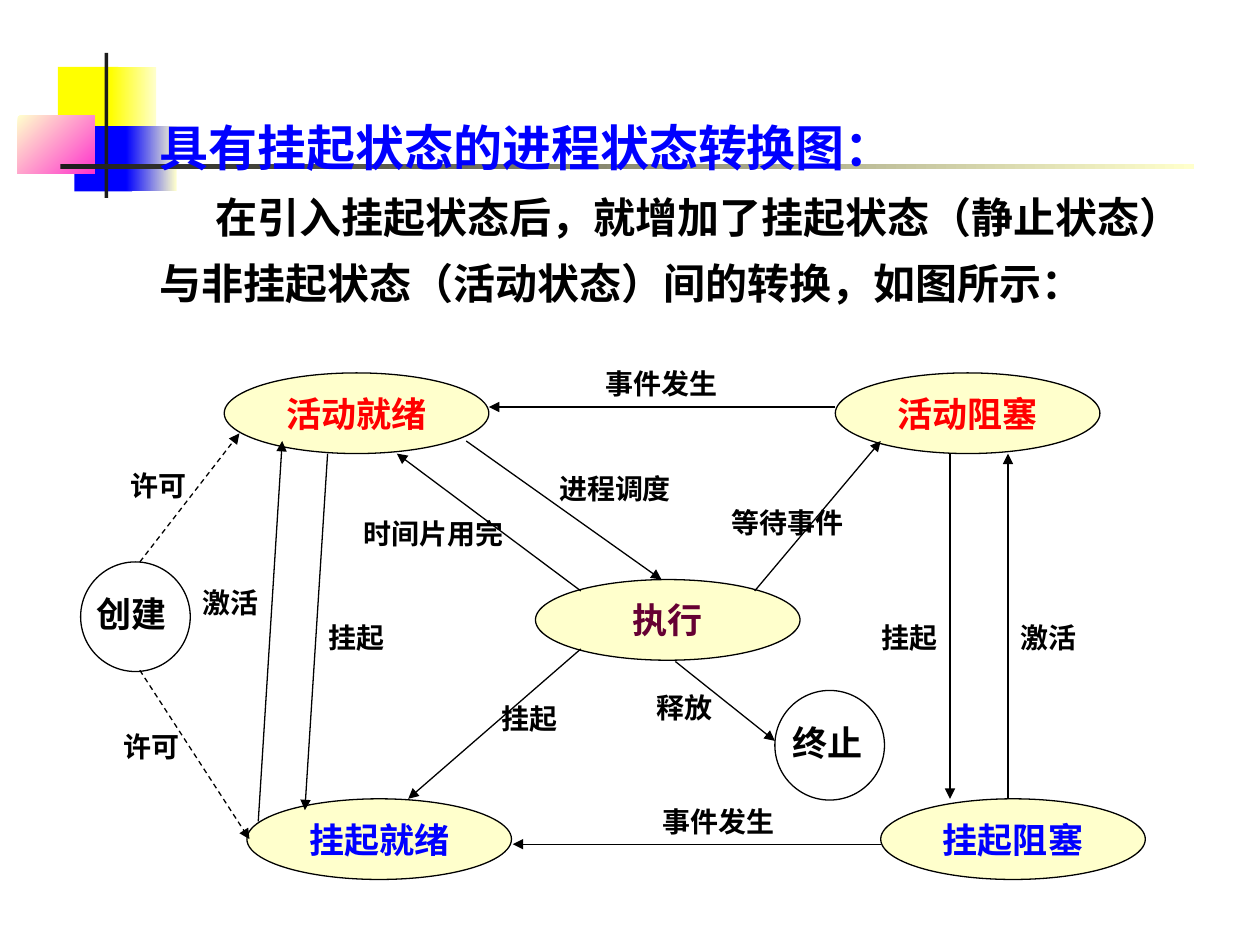
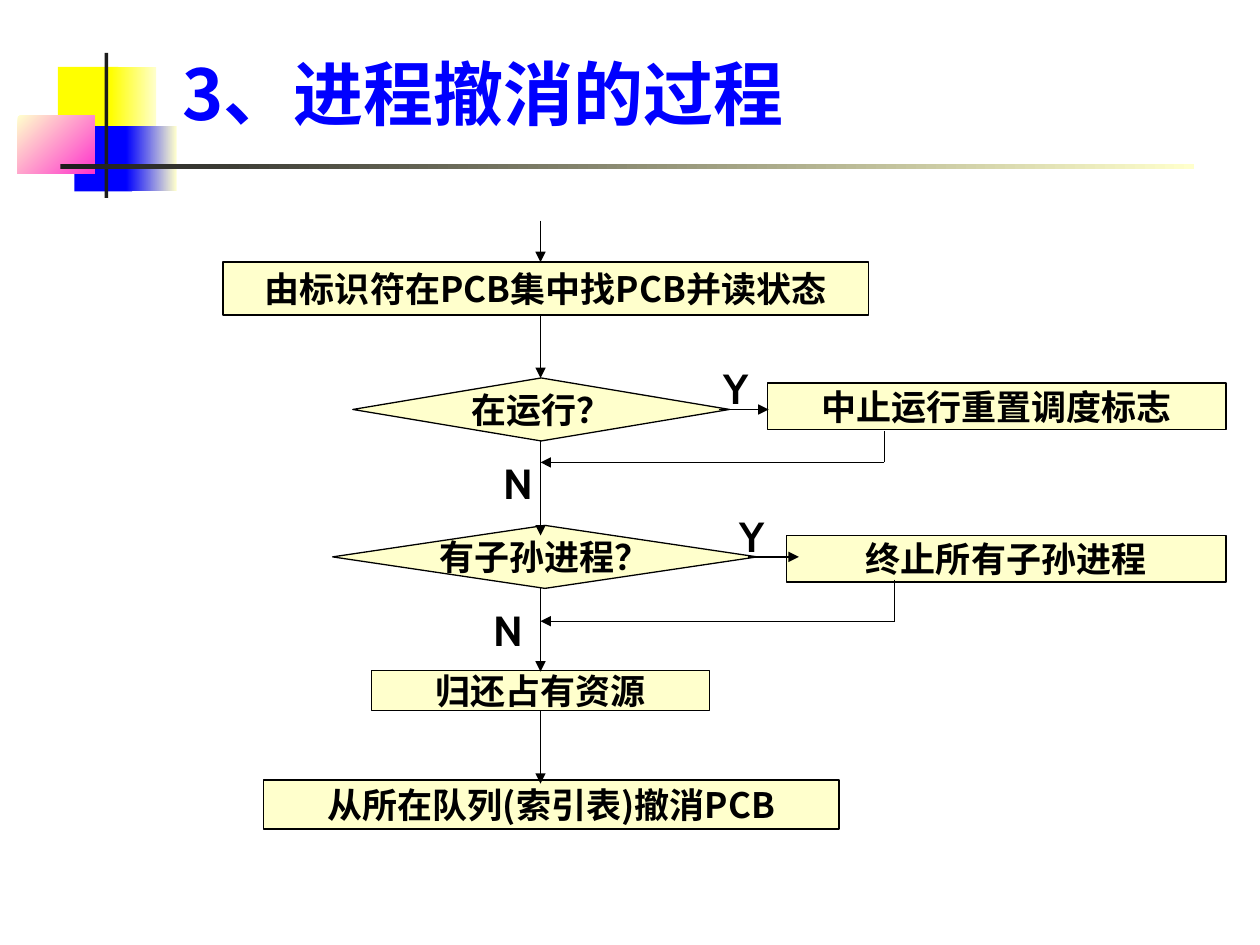
"""Build two slides on process states: suspension transitions and process termination."""
import pptx
import pptx.dml.color
import pptx.enum.dml
import pptx.enum.shapes
import pptx.enum.text
import pptx.oxml
import pptx.oxml.ns
import pptx.util

Inches = pptx.util.Inches
Pt = pptx.util.Pt
SHAPE = pptx.enum.shapes.MSO_SHAPE
ALIGN = pptx.enum.text.PP_ALIGN
ANCHOR = pptx.enum.text.MSO_ANCHOR
CABIN, NOTO = "Cabin", "Noto Sans CJK SC"
BLACK, CREAM, BLUE, RED, YELLOW = "000000", "FFFFCC", "0000FF", "FF0000", "FFFF00"
CHARCOAL, PINK, WINE = "1C1C1C", "FF33CC", "660033"


def colour(hex_code):
    return pptx.dml.color.RGBColor.from_string(hex_code)


def write(frame, text, size=20, font=CABIN, ink=BLACK, align=ALIGN.LEFT,
          anchor=ANCHOR.TOP, wrap=True, right=0.1, indent=0, spacing=1.0, new=False):
    frame.word_wrap = wrap
    frame.vertical_anchor = anchor
    frame.margin_left, frame.margin_right = Inches(0.1), Inches(right)
    frame.margin_top = frame.margin_bottom = Inches(0.05)
    paragraph = frame.add_paragraph() if new else frame.paragraphs[0]
    paragraph.alignment = align
    paragraph.line_spacing = spacing
    if indent:
        paragraph._p.get_or_add_pPr().set("indent", str(Inches(indent)))
    run = paragraph.add_run()
    run.text = text
    run.font.size = Pt(size)
    run.font.bold = True
    run.font.name = font
    run.font.color.rgb = colour(ink)
    east_asian = pptx.oxml.parse_xml(f'<a:ea {pptx.oxml.ns.nsdecls("a")} typeface="{NOTO}"/>')
    run._r.get_or_add_rPr().append(east_asian)


deck = pptx.Presentation()
deck.slide_width, deck.slide_height = Inches(10), Inches(7.5)
state_slide = deck.slides.add_slide(deck.slide_layouts[6])
termination_slide = deck.slides.add_slide(deck.slide_layouts[6])

ornament = [
    (0.46, 0.53, 0.48, 0.52, YELLOW, YELLOW, 0),
    (0.88, 0.53, 0.36, 0.52, YELLOW, CREAM, 0),
    (0.59, 1, 0.46, 0.52, BLUE, BLUE, 0),
    (1, 1, 0.4, 0.52, BLUE, CREAM, 0),
    (0.14, 0.92, 0.61, 0.46, CREAM, PINK, 315),
    (0.83, 0.42, 0.03, 1.15, CHARCOAL, CHARCOAL, 0),
    (0.48, 1.3, 9, 0.04, CHARCOAL, CREAM, 0),
]
for slide in (state_slide, termination_slide):
    for left, top, width, height, start, end, angle in ornament:
        band = slide.shapes.add_shape(SHAPE.RECTANGLE, Inches(left), Inches(top),
                                      Inches(width), Inches(height))
        band.shadow.inherit = False
        band.line.fill.background()
        if start == end:
            band.fill.solid()
            band.fill.fore_color.rgb = colour(start)
        else:
            band.fill.gradient()
            band.fill.gradient_angle = angle
            for stop, shade in zip(band.fill.gradient_stops, (start, end)):
                stop.color.rgb = colour(shade)

state_title = state_slide.shapes.add_textbox(Inches(1.17), Inches(0.91), Inches(8.52), Inches(1.58))
write(state_title.text_frame, "具有挂起状态的进程状态转换图：", size=28, ink=BLUE,
      anchor=ANCHOR.BOTTOM, spacing=1.3)
write(state_title.text_frame,
      "在引入挂起状态后，就增加了挂起状态（静止状态）与非挂起状态（活动状态）间的转换，如图所示：",
      size=24, anchor=ANCHOR.BOTTOM, spacing=1.3, indent=0.44, new=True)
termination_title = termination_slide.shapes.add_textbox(
    Inches(0.98), Inches(0.36), Inches(7.24), Inches(0.76))
write(termination_title.text_frame, "3、进程撤消的过程", size=40, font=NOTO, ink=BLUE,
      anchor=ANCHOR.BOTTOM, indent=0.37)

state_size, end_size = (2.1, 0.64), (0.87, 0.87)
states = [
    (SHAPE.OVAL, 1.78, 2.96, *state_size, "活动就绪", RED),
    (SHAPE.OVAL, 1.96, 6.34, *state_size, "挂起就绪", BLUE),
    (SHAPE.OVAL, 6.63, 2.96, *state_size, "活动阻塞", RED),
    (SHAPE.OVAL, 6.99, 6.34, *state_size, "挂起阻塞", BLUE),
    (SHAPE.OVAL, 4.25, 4.6, *state_size, "执行", WINE),
    (SHAPE.OVAL, 0.64, 4.46, *end_size, None, None),
    (SHAPE.OVAL, 6.15, 5.48, *end_size, None, None),
]
steps = [
    (SHAPE.FLOWCHART_DECISION, 2.8, 3, 2.99, 0.5, "在运行？", BLACK),
    (SHAPE.FLOWCHART_PROCESS, 1.77, 2.08, 5.12, 0.42, "由标识符在PCB集中找PCB并读状态", BLACK),
    (SHAPE.FLOWCHART_PROCESS, 2.95, 5.32, 2.68, 0.32, "归还占有资源", BLACK),
    (SHAPE.FLOWCHART_PROCESS, 2.09, 6.19, 4.57, 0.39, "从所在队列(索引表)撤消PCB", BLACK),
    (SHAPE.FLOWCHART_PROCESS, 6.09, 3.04, 3.64, 0.37, "中止运行重置调度标志", BLACK),
    (SHAPE.FLOWCHART_PROCESS, 6.24, 4.25, 3.49, 0.37, "终止所有子孙进程", BLACK),
    (SHAPE.FLOWCHART_DECISION, 2.64, 4.17, 3.37, 0.5, "有子孙进程？", BLACK),
]
for slide, nodes, font in ((state_slide, states, CABIN), (termination_slide, steps, NOTO)):
    for outline, left, top, width, height, text, ink in nodes:
        node = slide.shapes.add_shape(outline, Inches(left), Inches(top),
                                      Inches(width), Inches(height))
        node.shadow.inherit = False
        node.line.color.rgb = colour(BLACK)
        node.line.width = Pt(0.75)
        if text:
            node.fill.solid()
            node.fill.fore_color.rgb = colour(CREAM)
            write(node.text_frame, text, font=font, ink=ink, align=ALIGN.CENTER,
                  anchor=ANCHOR.MIDDLE, wrap=False)
        else:
            node.fill.background()

transitions = [
    (4.61, 5.15, 3.24, 6.34),
    (3.7, 3.5, 5.25, 4.6),
    (4.61, 4.69, 3.15, 3.6),
    (2.6, 3.6, 2.42, 6.43),
    (2.05, 6.52, 2.24, 3.5),
    (6.99, 6.7, 4.07, 6.7),
    (7.54, 3.6, 7.54, 6.34),
    (8, 6.34, 8, 3.6),
    (5.99, 4.69, 6.99, 3.5),
    (6.63, 3.23, 3.88, 3.23),
    (5.36, 5.25, 6.15, 5.88),
]
admissions = [(1.11, 4.46, 1.9, 3.44), (1.11, 5.32, 1.98, 6.66)]
trunk = 4.29
flows = [(trunk, start, trunk, end) for start, end in
         ((1.75, 2.08), (2.5, 3), (3.5, 4.25), (4.67, 5.33), (5.64, 6.22))]
flows += [(5.71, 3.25, 6.1, 3.25), (5.94, 4.42, 6.34, 4.42),
          (7.02, 3.67, trunk, 3.67), (7.1, 4.93, trunk, 4.93)]
returns = [(7.02, 3.42, 7.02, 3.67), (7.1, 4.6, 7.1, 4.93)]
for slide, links, dashed, arrow in (
        (state_slide, transitions, False, True),
        (state_slide, admissions, True, True),
        (termination_slide, flows, False, True),
        (termination_slide, returns, False, False)):
    for link in links:
        connector = slide.shapes.add_connector(
            pptx.enum.shapes.MSO_CONNECTOR.STRAIGHT, *map(Inches, link))
        connector.line.color.rgb = colour(BLACK)
        connector.line.width = Pt(0.75)
        if dashed:
            connector.line.dash_style = pptx.enum.dml.MSO_LINE.DASH
        if arrow:
            connector.line._get_or_add_ln().append(pptx.oxml.parse_xml(
                f'<a:tailEnd {pptx.oxml.ns.nsdecls("a")} type="triangle"/>'))
        connector._element.spPr.append(
            pptx.oxml.parse_xml(f'<a:effectLst {pptx.oxml.ns.nsdecls("a")}/>'))

transition_names = [
    ("进程调度", 4.34, 3.69, 1.28),
    ("时间片用完", 2.79, 4.05, 1.37),
    ("挂起", 2.51, 4.88, 0.82),
    ("激活", 1.51, 4.6, 0.73),
    ("挂起", 3.88, 5.52, 0.82),
    ("挂起", 6.9, 4.88, 0.82),
    ("事件发生", 5.16, 6.34, 1.28),
    ("事件发生", 4.71, 2.86, 1.28),
    ("等待事件", 5.71, 3.96, 1.28),
    ("激活", 8, 4.88, 0.73),
    ("许可", 0.94, 3.67, 0.64),
    ("许可", 0.88, 5.74, 0.64),
    ("释放", 5.11, 5.43, 0.64),
]
end_names = [("创建", 0.67, 4.65, 0.75), ("终止", 6.19, 5.68, 0.75)]
answers = [("N", 3.82, 4.75, 0.7), ("Y", 5.77, 4, 0.78),
           ("N", 3.9, 3.58, 0.7), ("Y", 5.64, 2.83, 0.78)]
for slide, names, size, height in (
        (state_slide, transition_names, 16, 0.37),
        (state_slide, end_names, 20, 0.44),
        (termination_slide, answers, 24, 0.5)):
    for text, left, top, width in names:
        caption = slide.shapes.add_textbox(Inches(left), Inches(top), Inches(width), Inches(height))
        write(caption.text_frame, text, size=size, right=0)

deck.save("out.pptx")
